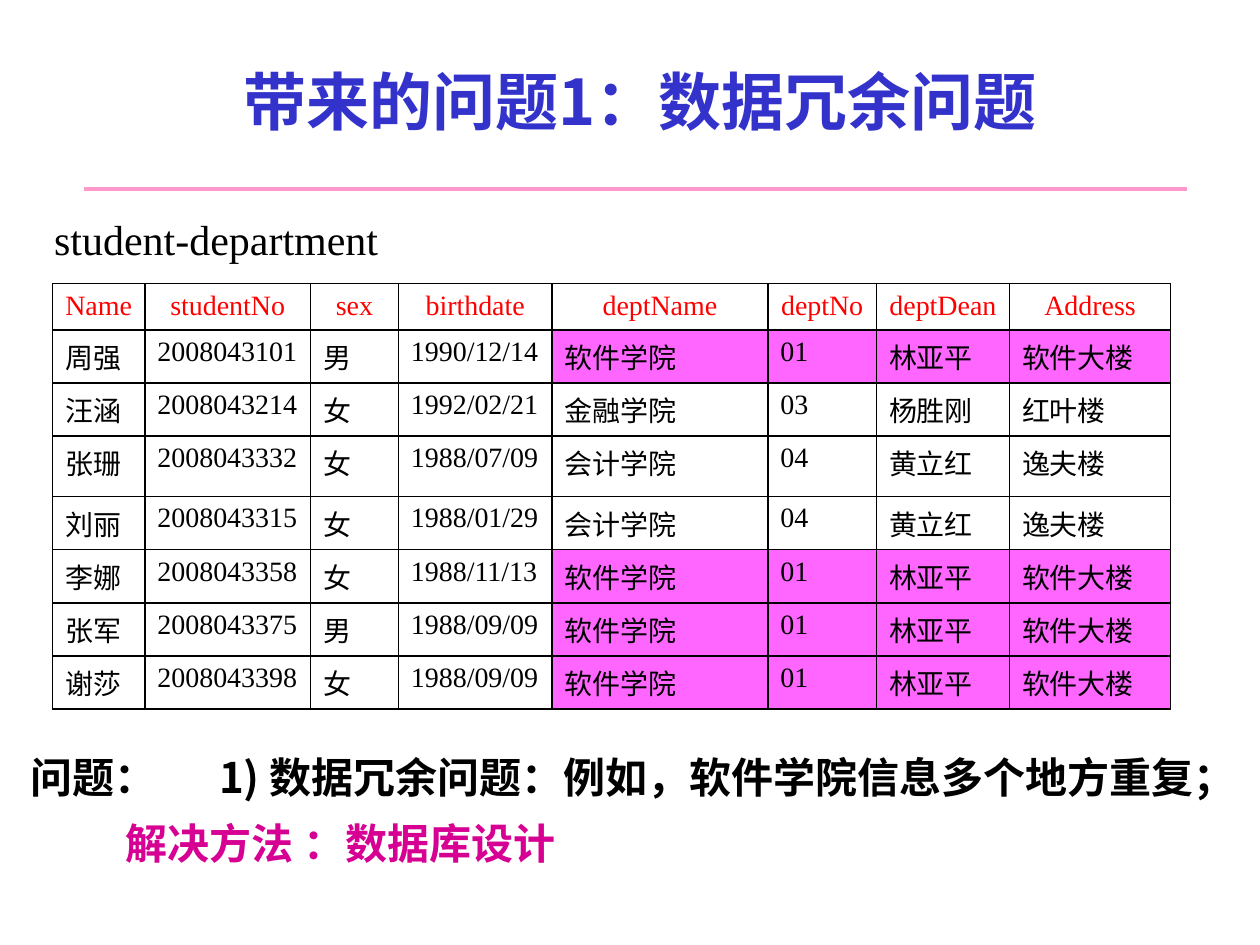
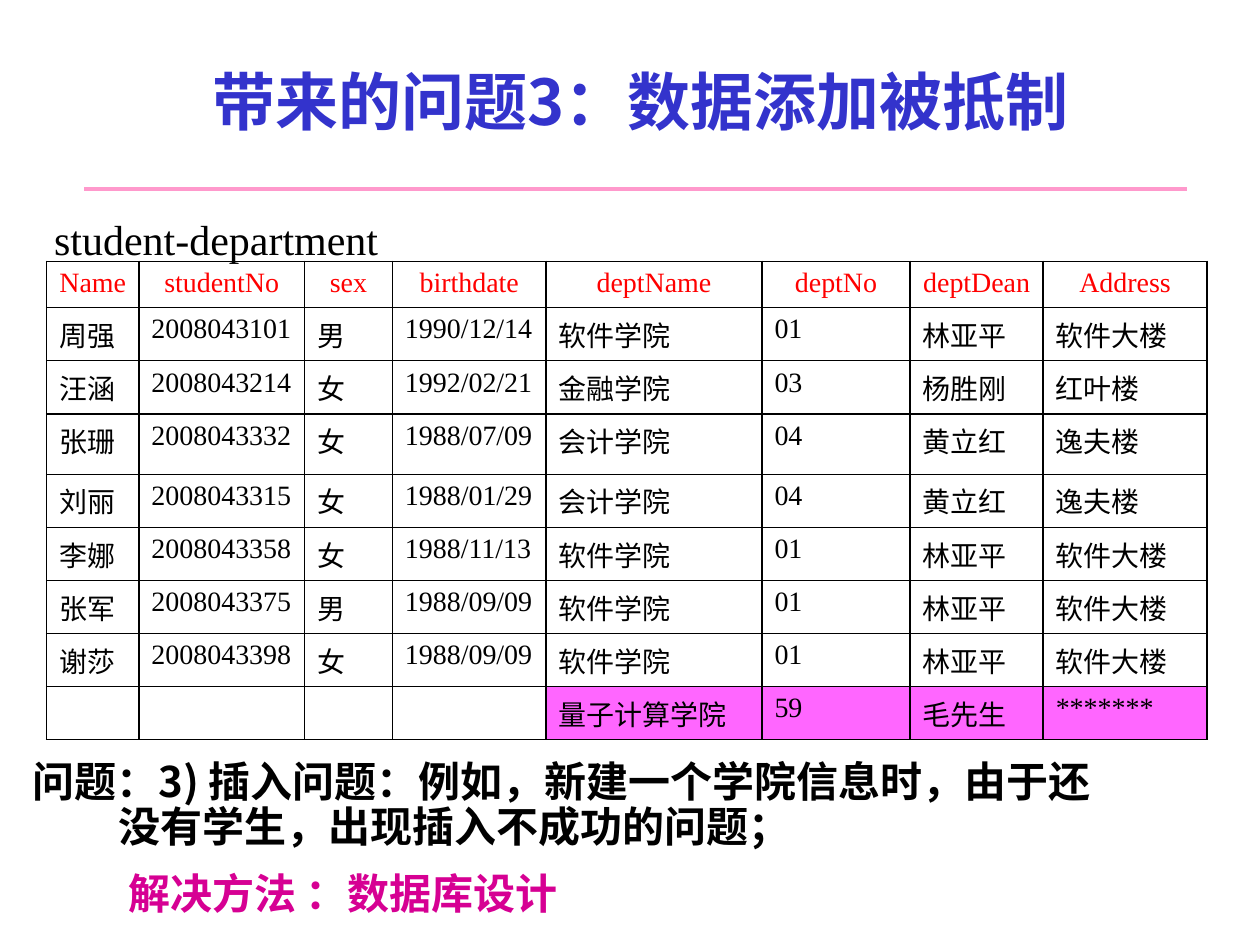
import lxml.etree
import pptx
import pptx.dml.color
import pptx.enum.shapes
import pptx.enum.text
import pptx.oxml.ns
import pptx.util

Cm = pptx.util.Cm
Pt = pptx.util.Pt
RGBColor = pptx.dml.color.RGBColor
Align = pptx.enum.text.PP_ALIGN
Anchor = pptx.enum.text.MSO_ANCHOR
qn = pptx.oxml.ns.qn

BLUE = RGBColor(0x33, 0x33, 0xCC)
PINK = RGBColor(0xFF, 0x99, 0xCC)
RED = RGBColor(0xFF, 0x00, 0x00)
BLACK = RGBColor(0x00, 0x00, 0x00)
HIGHLIGHT = RGBColor(0xFF, 0x66, 0xFF)
MAGENTA = RGBColor(0xD6, 0x00, 0x93)
SANS = "Noto Sans CJK SC"
SERIF = "Times New Roman"

HEADER = ("Name", "studentNo", "sex", "birthdate",
          "deptName", "deptNo", "deptDean", "Address")
SOFTWARE = ("软件学院", "01", "林亚平", "软件大楼")
FINANCE = ("金融学院", "03", "杨胜刚", "红叶楼")
ACCOUNTING = ("会计学院", "04", "黄立红", "逸夫楼")
QUANTUM = ("量子计算学院", "59", "毛先生", "*******")
STUDENTS = [
    ("周强", "2008043101", "男", "1990/12/14") + SOFTWARE,
    ("汪涵", "2008043214", "女", "1992/02/21") + FINANCE,
    ("张珊", "2008043332", "女", "1988/07/09") + ACCOUNTING,
    ("刘丽", "2008043315", "女", "1988/01/29") + ACCOUNTING,
    ("李娜", "2008043358", "女", "1988/11/13") + SOFTWARE,
    ("张军", "2008043375", "男", "1988/09/09") + SOFTWARE,
    ("谢莎", "2008043398", "女", "1988/09/09") + SOFTWARE,
]
NO_STUDENT = ("",) * 4
FIRST_DEPT_COLUMN = HEADER.index("deptName")
SOLUTION = "解决方法 ：数据库设计"

# Lengths are in centimetres; a note line is (text, left indent, space before in points, colour).
PAGES = [
    {
        "title": "带来的问题1：数据冗余问题",
        "rows": STUDENTS,
        "highlighted": SOFTWARE,
        "table_at": (1.06, 5.72),
        "columns": (1.86, 3.34, 1.77, 3.1, 4.35, 2.19, 2.68, 3.25),
        "notes_box": (0.36, 15.11, 24.71, 2.79),
        "notes": [
            ("问题：\t1) 数据冗余问题：例如，软件学院信息多个地方重复；", 0, 0, BLACK),
            (SOLUTION, 1.93, 15, MAGENTA),
        ],
    },
    {
        "title": "带来的问题3：数据添加被抵制",
        "rows": STUDENTS + [NO_STUDENT + QUANTUM],
        "highlighted": QUANTUM,
        "table_at": (0.94, 5.27),
        "columns": (1.86, 3.34, 1.77, 3.1, 4.35, 2.99, 2.68, 3.3),
        "notes_box": (0.41, 15.19, 24.71, 3.73),
        "notes": [
            ("问题：3) 插入问题：例如，新建一个学院信息时，由于还", 0, 0, BLACK),
            ("没有学生，出现插入不成功的问题；", 1.73, 3, BLACK),
            (SOLUTION, 1.93, 15, MAGENTA),
        ],
    },
]
HEADER_HEIGHT, ROW_HEIGHT, TALL_HEIGHT = 0.93, 1.07, 1.22
TALL_ROW = 3
NOTE_TAB = 3.53


def add_span(para, text, size, color, font=SANS, bold=False):
    span = para.add_run()
    span.text = text
    span.font.size = Pt(size)
    span.font.bold = bold
    span.font.color.rgb = color
    span.font.name = font
    east_asian = lxml.etree.SubElement(span.font._element, qn("a:ea"))
    east_asian.set("typeface", SANS)


def add_box(page, left, top, width, height, anchor=Anchor.MIDDLE):
    box = page.shapes.add_textbox(Cm(left), Cm(top), Cm(width), Cm(height))
    box.text_frame.word_wrap = True
    box.text_frame.vertical_anchor = anchor
    return box.text_frame


def add_heading(page, title):
    rule = page.shapes.add_connector(
        pptx.enum.shapes.MSO_CONNECTOR.STRAIGHT, Cm(1.7), Cm(3.81), Cm(23.93), Cm(3.81))
    rule.line.color.rgb = PINK
    rule.line.width = Pt(2)
    lxml.etree.SubElement(rule._element.spPr, qn("a:effectLst"))

    para = add_box(page, 2.11, 0.43, 21.59, 3.18).paragraphs[0]
    para.alignment = Align.CENTER
    add_span(para, title, 36, BLUE, bold=True)


def add_borders(cell):
    properties = cell._tc.get_or_add_tcPr()
    for side in ("lnL", "lnR", "lnT", "lnB"):
        border = lxml.etree.SubElement(properties, qn("a:" + side), w=str(Pt(1)))
        fill = lxml.etree.SubElement(border, qn("a:solidFill"))
        lxml.etree.SubElement(fill, qn("a:srgbClr"), val=str(BLACK))


def add_students_table(page, rows, highlighted, table_at, columns):
    heights = [HEADER_HEIGHT] + [ROW_HEIGHT] * len(rows)
    heights[TALL_ROW] = TALL_HEIGHT
    left, top = table_at
    table = page.shapes.add_table(
        len(heights), len(columns), Cm(left), Cm(top),
        Cm(sum(columns)), Cm(sum(heights))).table
    table.first_row = False
    table.horz_banding = False
    for column, width in zip(table.columns, columns):
        column.width = Cm(width)
    for row, height in zip(table.rows, heights):
        row.height = Cm(height)

    for row_index, values in enumerate([HEADER] + rows):
        is_header = row_index == 0
        is_highlighted = values[FIRST_DEPT_COLUMN:] == highlighted
        for column_index, value in enumerate(values):
            cell = table.cell(row_index, column_index)
            add_borders(cell)
            if is_highlighted and column_index >= FIRST_DEPT_COLUMN:
                cell.fill.solid()
                cell.fill.fore_color.rgb = HIGHLIGHT
            else:
                cell.fill.background()
            para = cell.text_frame.paragraphs[0]
            if is_header:
                para.alignment = Align.CENTER
            if value:
                add_span(para, value, 16, RED if is_header else BLACK, SERIF)


def add_notes(page, notes_box, notes):
    frame = add_box(page, *notes_box, anchor=Anchor.TOP)
    frame.margin_top = Cm(0.23)
    frame.margin_right = 0
    for index, (text, indent, space_before, color) in enumerate(notes):
        para = frame.add_paragraph() if index else frame.paragraphs[0]
        para.line_spacing = 0.8
        if space_before:
            para.space_before = Pt(space_before)
        properties = para._p.get_or_add_pPr()
        properties.set("marL", str(Cm(indent)))
        properties.set("indent", "0")
        if "\t" in text:
            tabs = lxml.etree.SubElement(properties, qn("a:tabLst"))
            lxml.etree.SubElement(tabs, qn("a:tab"), pos=str(Cm(NOTE_TAB)), algn="l")
        add_span(para, text, 24, color, bold=True)


def main():
    deck = pptx.Presentation()
    deck.slide_width = Cm(25.4)
    deck.slide_height = Cm(19.05)
    for content in PAGES:
        page = deck.slides.add_slide(deck.slide_layouts[6])
        add_heading(page, content["title"])
        add_notes(page, content["notes_box"], content["notes"])
        add_students_table(page, content["rows"], content["highlighted"],
                           content["table_at"], content["columns"])
        caption = add_box(page, 0.84, 4.17, 8.26, 1.27).paragraphs[0]
        add_span(caption, "student-department", 24, BLACK, SERIF)
    deck.save("out.pptx")


if __name__ == "__main__":
    main()
